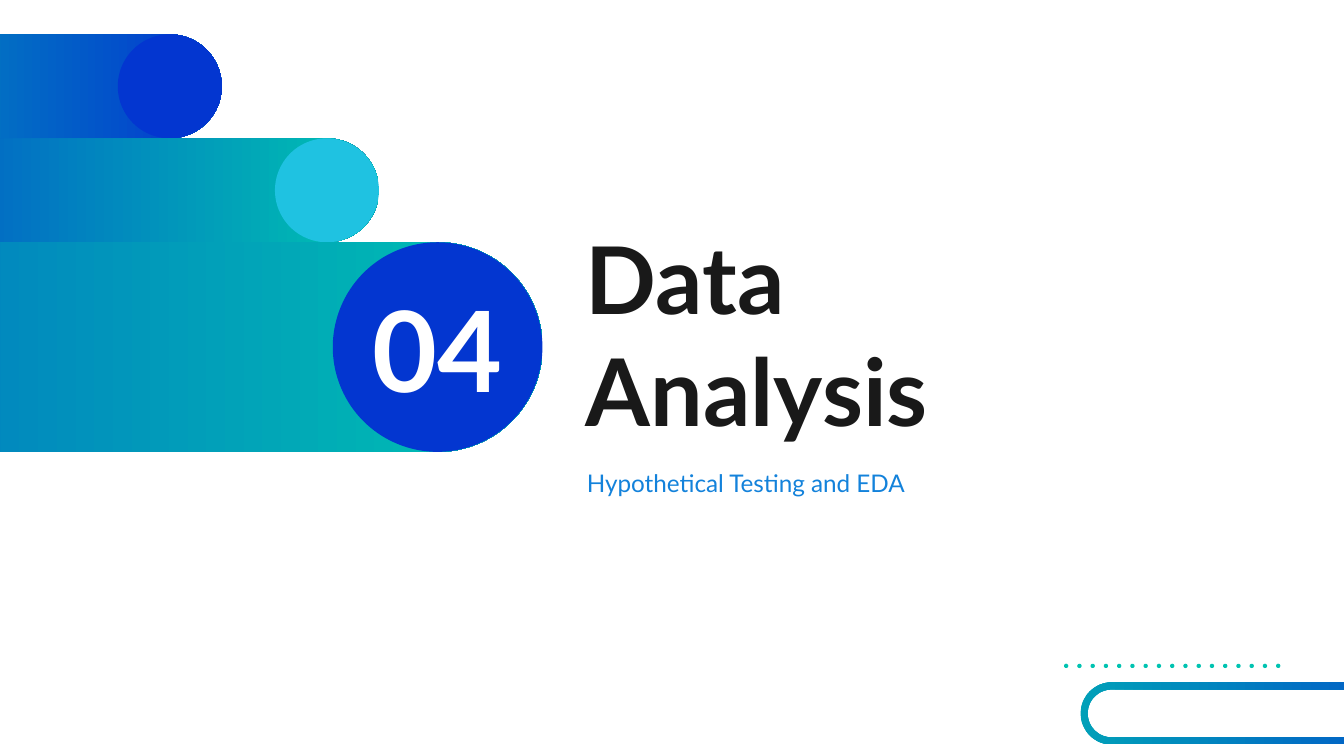
import math

from pptx import Presentation
from pptx.dml.color import RGBColor
from pptx.enum.shapes import MSO_SHAPE
from pptx.enum.text import MSO_ANCHOR, MSO_AUTO_SIZE, PP_ALIGN
from pptx.util import Pt

ROUNDED, OVAL = MSO_SHAPE.ROUNDED_RECTANGLE, MSO_SHAPE.OVAL
LEFT, CENTER = PP_ALIGN.LEFT, PP_ALIGN.CENTER
TOP, MIDDLE = MSO_ANCHOR.TOP, MSO_ANCHOR.MIDDLE
TITLE_ONLY = 5
TILT = 45
FONT = "Lato"
COLORS = {
    "blue": "0336D0",
    "teal": "00C3B1",
    "cyan": "1FC2E1",
    "ring_left": "01A2B8",
    "ring_right": "0259C8",
    "ink": "191919",
    "subtitle": "1382DB",
    "white": "FFFFFF",
}


def color(name):
    return RGBColor.from_string(COLORS[name])


def paint(shape, *names, angle=0):
    """Fill with one colour, or with a gradient from left to right."""
    shape.shadow.inherit = False
    shape.line.fill.background()
    if len(names) == 1:
        shape.fill.solid()
        shape.fill.fore_color.rgb = color(names[0])
        return
    shape.fill.gradient()
    shape.fill.gradient_angle = angle
    for position, (stop, name) in enumerate(zip(shape.fill.gradient_stops, names)):
        stop.position = position
        stop.color.rgb = color(name)


def add_shape(slide, kind, box, *names):
    shape = slide.shapes.add_shape(kind, *map(Pt, box))
    paint(shape, *names)
    return shape


def write(shape, box, text, size, name, bold=False, align=LEFT, anchor=MIDDLE):
    shape.left, shape.top, shape.width, shape.height = map(Pt, box)
    frame = shape.text_frame
    frame_format = {
        "word_wrap": True,
        "auto_size": MSO_AUTO_SIZE.NONE,
        "vertical_anchor": anchor,
        "margin_left": Pt(7.2),
        "margin_right": Pt(7.2),
        "margin_top": Pt(7.2),
        "margin_bottom": Pt(7.2),
    }
    for attribute, value in frame_format.items():
        setattr(frame, attribute, value)
    frame.text = text
    paragraph = frame.paragraphs[0]
    paragraph.alignment = align
    font = paragraph.runs[0].font
    for attribute, value in {"name": FONT, "size": Pt(size), "bold": bold}.items():
        setattr(font, attribute, value)
    font.color.rgb = color(name)


def add_tube(slide, box, gradient, cap):
    """Bar with round ends and a disc filling its right end."""
    left, top, width, height = box
    bar = add_shape(slide, ROUNDED, box, *gradient)
    bar.adjustments[0] = 0.5
    add_shape(slide, OVAL, (left + width - height, top, height, height), cap)


def add_tubes(slide, box):
    """Stack of tubes that bleed off the left edge, the last one numbered."""
    right, top, small, large = box
    add_tube(slide, (-177.1, top, 295.9, small), ("teal", "blue"), "blue")
    add_tube(slide, (-140.2, top + small, 343.2, small), ("blue", "teal"), "cyan")
    large_top = top + 2 * small
    add_tube(slide, (right - 700.4, large_top, 700.4, large), ("blue", "teal"), "blue")
    number = slide.shapes.add_textbox(0, 0, 0, 0)
    number_box = (right - large, large_top + (large - 65.6) / 2, large, 66.4)
    write(number, number_box, "04", 60, "white", bold=True, align=CENTER)


def add_heading(slide, box):
    left, top, width, height = box
    write(slide.shapes.title, (left, top, 278.6, 126), "Data Analysis", 50, "ink", bold=True)
    subtitle = slide.shapes.add_textbox(0, 0, 0, 0)
    write(subtitle, (left + 0.7, top + height - 29.1, width, 29.5),
          "Hypothetical Testing and EDA", 13, "subtitle", anchor=TOP)


def capsule_points(box, steps=32):
    left, top, width, height = box
    radius = height / 2
    points = []
    for center, start in ((left + width - radius, -90), (left + radius, 90)):
        for step in range(steps + 1):
            angle = math.radians(start + 180 * step / steps)
            points.append((center + radius * math.cos(angle),
                           top + radius + radius * math.sin(angle)))
    return points


def add_tilted_outline(slide, box, contours, *names):
    """Draw the contours turned back by TILT, then turn the shape upright."""
    left, top, width, height = box
    center_x, center_y = left + width / 2, top + height / 2
    cosine, sine = math.cos(math.radians(TILT)), math.sin(math.radians(TILT))

    def turn(point):
        x, y = point[0] - center_x, point[1] - center_y
        return Pt(center_x + x * cosine + y * sine), Pt(center_y - x * sine + y * cosine)

    builder = None
    for contour in contours:
        first, *rest = map(turn, contour)
        if builder is None:
            builder = slide.shapes.build_freeform(*first, scale=1.0)
        else:
            builder.move_to(*first)
        builder.add_line_segments(rest, close=True)
    shape = builder.convert_to_shape()
    shape.rotation = TILT
    paint(shape, *names, angle=TILT)


def add_ring(slide, box, thickness):
    """Hollow capsule."""
    left, top, width, height = box
    inner = (left + thickness, top + thickness,
             width - 2 * thickness, height - 2 * thickness)
    contours = [capsule_points(box), capsule_points(inner)[::-1]]
    add_tilted_outline(slide, box, contours, "ring_left", "ring_right")


def add_dots(slide, box, count):
    """Row of dots: the two ends are single, the rest form one outline."""
    left, top, width, size = box
    pitch = (width - size) / (count - 1)
    for start, end in ((0, 1), (1, count - 1), (count - 1, count)):
        row = (left + start * pitch, top, (end - start - 1) * pitch + size, size)
        dots = [capsule_points((left + index * pitch, top, size, size), steps=8)
                for index in range(start, end)]
        add_tilted_outline(slide, row, dots, "teal")


def build_section_slide(presentation):
    slide = presentation.slides.add_slide(presentation.slide_layouts[TITLE_ONLY])
    add_dots(slide, (570, 355.6, 115.9, 2.3), 17)
    add_ring(slide, (578.9, 365.6, 171.4, 33.3), 3.8)
    add_heading(slide, (306.7, 115.5, 349.9, 157))
    add_tubes(slide, (290.6, 18.4, 55.7, 112.3))


def main():
    presentation = Presentation()
    presentation.slide_width, presentation.slide_height = Pt(720), Pt(405)
    build_section_slide(presentation)
    presentation.save("out.pptx")


if __name__ == "__main__":
    main()
